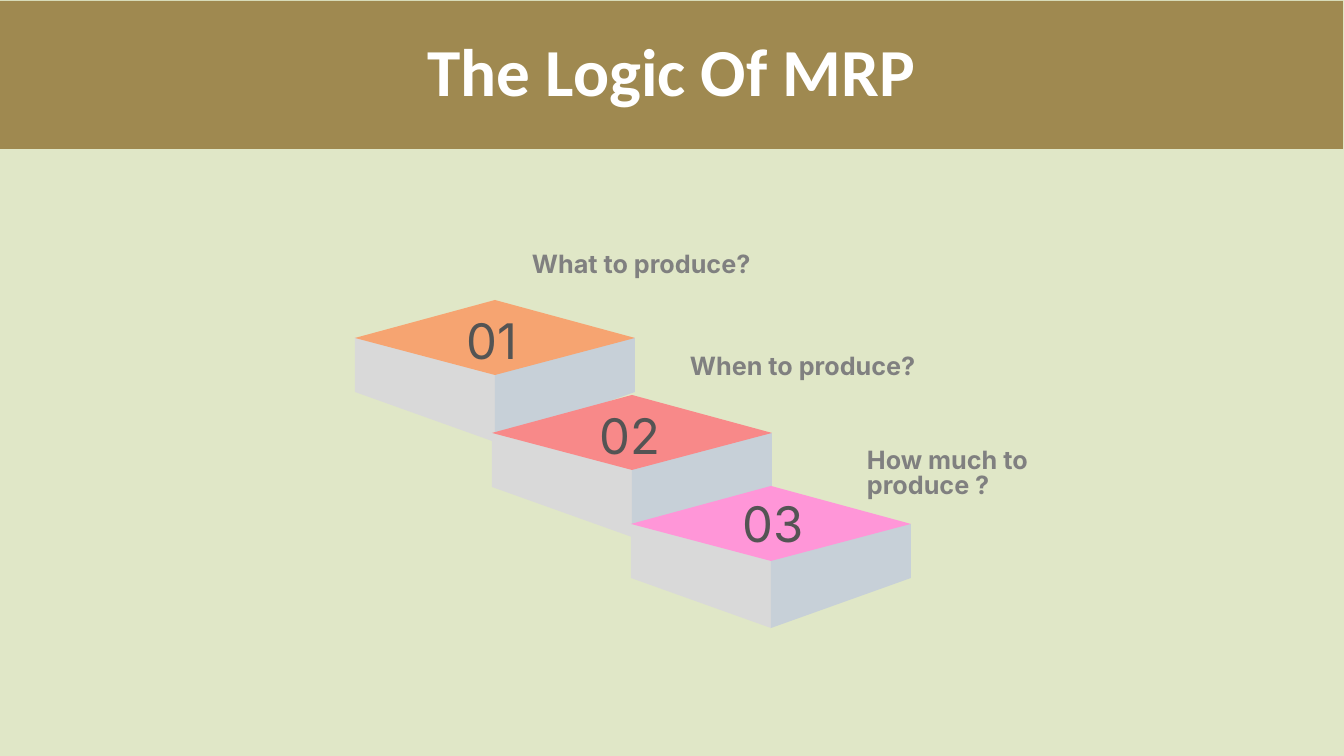
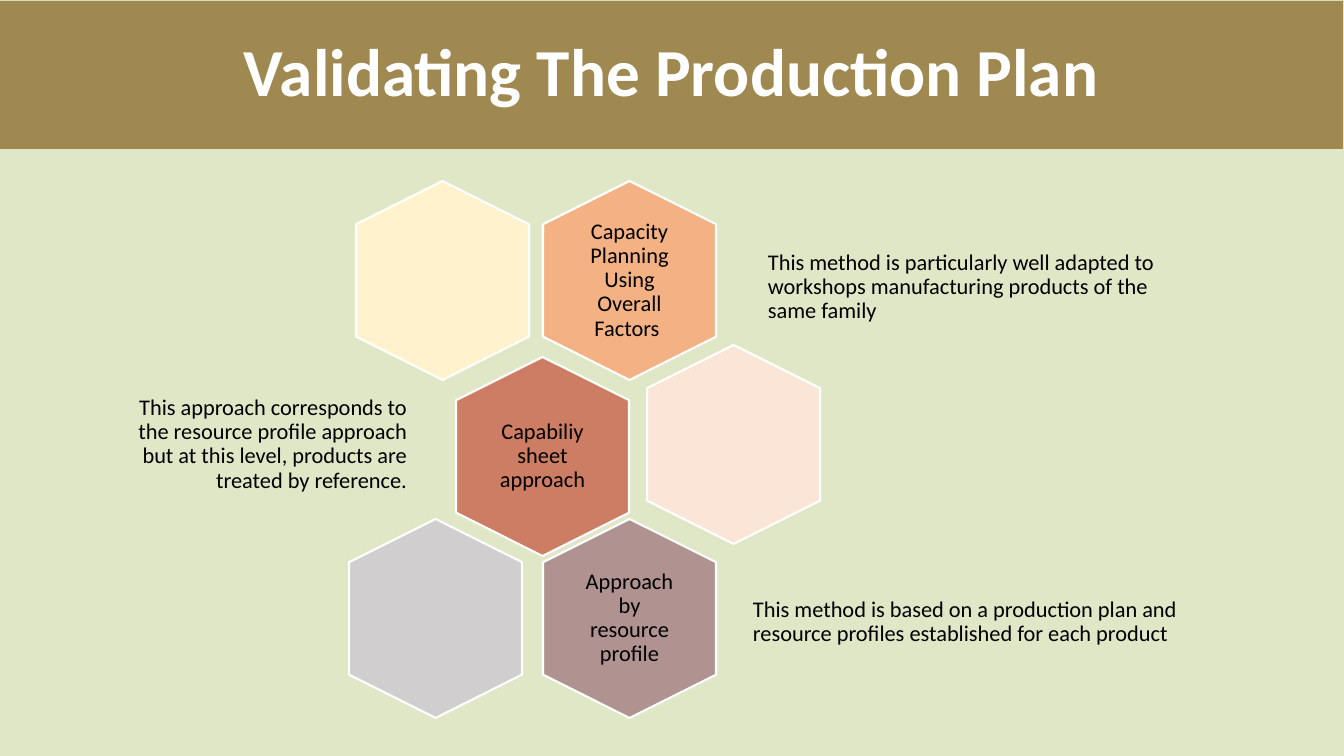
from pptx import Presentation
from pptx.dml.color import RGBColor
from pptx.enum.shapes import MSO_SHAPE
from pptx.enum.text import MSO_ANCHOR, PP_ALIGN
from pptx.util import Emu, Pt

SCALE = 914400 / 100.8
WIDE, HIGH = 1344, 756
BACK, BAND, WHITE = "E0E7C7", "9F8950", "FFFFFF"
LEFT, MID, RIGHT = PP_ALIGN.LEFT, PP_ALIGN.CENTER, PP_ALIGN.RIGHT
SIDES = "D9D9D9", "C7D0D8"

TITLE = {"name": "Calibri", "size": Pt(48), "bold": True, "color": WHITE}
BODY = {"name": "Calibri", "size": Pt(16), "color": "000000"}
LABEL = {"name": "Inter", "size": Pt(18), "bold": True, "color": "808080"}
COUNT = {"name": "Inter", "size": Pt(35), "color": "545454"}


def px(n):
    return Emu(round(n * SCALE))


def paint(fill, code):
    fill.solid()
    fill.fore_color.rgb = RGBColor.from_string(code)


def style(item, vals):
    for key, val in vals.items():
        if key == "color":
            paint(item.fill, val)
        else:
            setattr(item, key, val)


def write(shape, text, font, align, space, anchor=MSO_ANCHOR.MIDDLE, pad=0):
    frame = shape.text_frame
    edges = ("left", "top", "right", "bottom")
    style(frame, {f"margin_{edge}": px(pad) for edge in edges})
    style(frame, {"word_wrap": True, "vertical_anchor": anchor})
    para = frame.paragraphs[0]
    style(para, {"alignment": align, "line_spacing": space})
    run = para.add_run()
    run.text = text
    style(run.font, font)


def note(slide, box, *args, **more):
    write(slide.shapes.add_textbox(*map(px, box)), *args, **more)


def finish(shape, code, edge=None):
    shape.shadow.inherit = False
    paint(shape.fill, code)
    if edge:
        paint(shape.line.fill, edge)
        shape.line.width = Pt(1.5)
    else:
        shape.line.fill.background()


def page(deck, title):
    slide = deck.slides.add_slide(deck.slide_layouts[6])
    paint(slide.background.fill, BACK)
    box = map(px, (0, 1, WIDE - 1, 148))
    band = slide.shapes.add_shape(MSO_SHAPE.RECTANGLE, *box)
    finish(band, BAND)
    write(band, title, TITLE, MID, 0.9, pad=7)
    return slide


def face(slide, x, y, code, points):
    spots = [((x + dx) * SCALE, (y + dy) * SCALE) for dx, dy in points]
    form = slide.shapes.build_freeform(*spots[0], scale=1.0)
    form.add_line_segments(spots[1:], close=True)
    finish(form.convert_to_shape(), code)


def step(slide, box, code, count, shift):
    x, y, wide, tall = box
    half, mid, low, base = wide // 2, 38, 92, 142
    for edge, code_side in zip((0, wide), SIDES):
        face(slide, x, y, code_side,
             [(edge, mid), (edge, low), (half, base), (half, mid)])
    face(slide, x, y, code, [(half, 0), (0, mid), (half, tall), (wide, mid)])
    dx, dy = shift
    note(slide, (x + dx, y + dy, 96, 67), count, COUNT, MID, Pt(49),
         anchor=MSO_ANCHOR.TOP)


def cell(slide, box, code, text=None):
    x, y, wide, tall = box
    turn = (tall - wide) / 2
    spot = map(px, (x - turn, y + turn, tall, wide))
    hexa = slide.shapes.add_shape(MSO_SHAPE.HEXAGON, *spot)
    hexa.rotation = 90
    finish(hexa, code, WHITE)
    if text:
        note(slide, (x + 27, y + 31, wide - 54, tall - 62),
             text, BODY, MID, 0.9, pad=7)


def logic(deck):
    slide = page(deck, "The Logic Of MRP")
    steps = [
        (355, 300, "F6A471", (89, 1), (532, 253, 279, 28), "What to produce?"),
        (492, 395, "F88989", (90, 1), (690, 355, 301, 28), "When to produce?"),
        (631, 486, "FF96D8", (94, -2), (867, 449, 220, 53),
         "How much to produce ?"),
    ]
    for num, (x, y, code, shift, box, text) in enumerate(steps, 1):
        step(slide, (x, y, 280, 75), code, f"{num:02}", shift)
        note(slide, box, text, LABEL, LEFT, Pt(18.2), anchor=MSO_ANCHOR.TOP)


def plan(deck):
    slide = page(deck, "Validating The Production Plan")
    cells = [
        (543, 181, "F4B183", "Capacity Planning Using Overall Factors "),
        (356, 181, "FFF2CC", None),
        (456, 357, "CC7D64", "Capabiliy sheet approach"),
        (647, 345, "FBE5D6", None),
        (543, 519, "B09391", "Approach by resource profile"),
        (349, 519, "D0CECE", None),
    ]
    for x, y, code, text in cells:
        cell(slide, (x, y, 173, 199), code, text)
    notes = [
        (761, 228, 439, LEFT, "This method is particularly well adapted to "
         "workshops manufacturing products of the same family"),
        (123, 385, 291, RIGHT, "This approach corresponds to the resource "
         "profile approach but at this level, products are treated by "
         "reference."),
        (746, 563, 468, LEFT, "This method is based on a production plan and "
         "resource profiles established for each product"),
    ]
    for x, y, wide, align, text in notes:
        note(slide, (x, y, wide, 119), text, BODY, align, 0.9, pad=7)


deck = Presentation()
style(deck, {"slide_width": px(WIDE), "slide_height": px(HIGH)})
logic(deck)
plan(deck)
deck.save("out.pptx")
